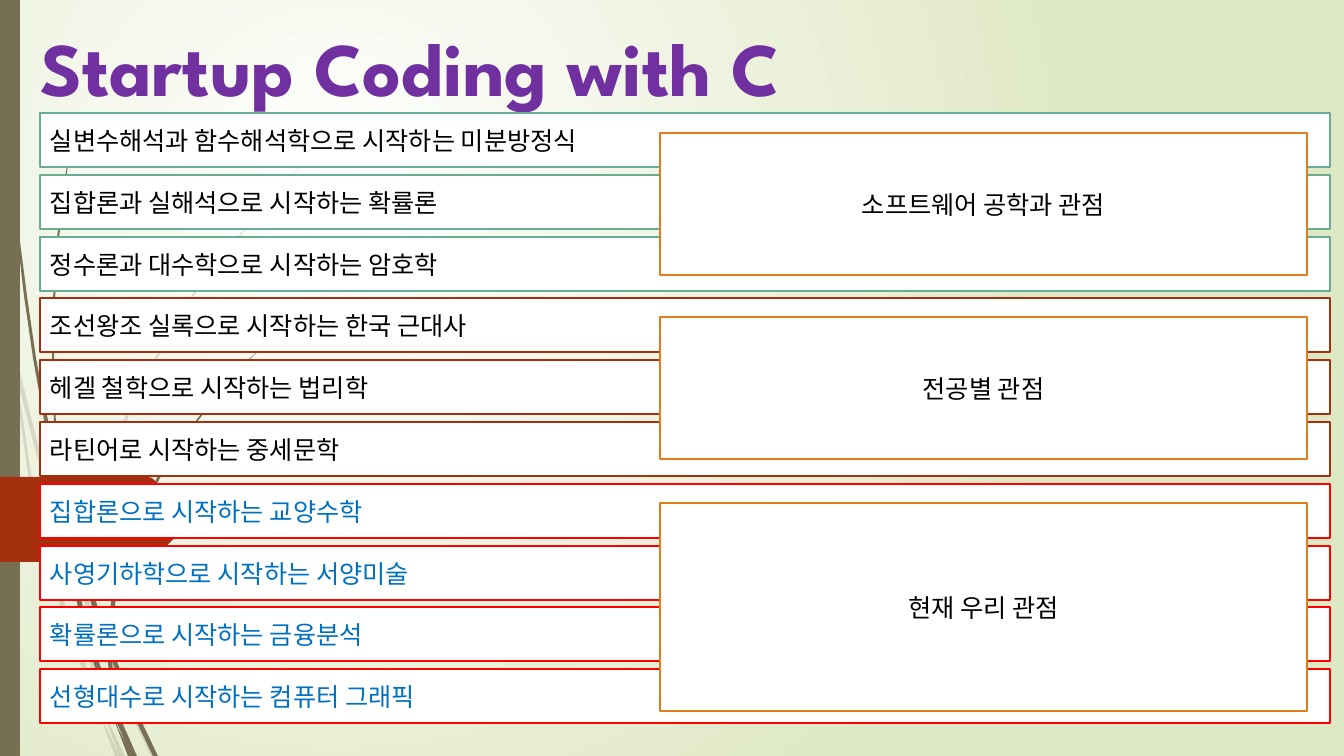
from lxml import etree
from pptx import Presentation
from pptx.dml.color import RGBColor
from pptx.enum.shapes import MSO_SHAPE
from pptx.enum.text import MSO_ANCHOR, PP_ALIGN
from pptx.oxml.ns import qn
from pptx.util import Pt

PX = 914400 / 100.8
RECT = MSO_SHAPE.RECTANGLE
MIDDLE, BOTTOM = MSO_ANCHOR.MIDDLE, MSO_ANCHOR.BOTTOM
LEFT, CENTER = PP_ALIGN.LEFT, PP_ALIGN.CENTER
SPARTAN, NOTO = "League Spartan", "Noto Sans CJK KR"
BROWN, RUST = "766F54", "A53010"

FAINT_WISPS = [
    [(0, 284), (9, 325), (11, 353), (17, 379), (31, 473), (48, 550), (71, 624),
     (94, 688), (102, 720), (120, 756), (115, 756), (102, 720), (93, 699),
     (66, 626), (44, 551), (28, 474), (11, 353), (0, 301)],
    [(14, 348), (36, 437), (62, 524), (85, 591), (85, 604), (58, 526),
     (36, 453), (17, 379)],
    [(85, 591), (93, 612), (128, 698), (156, 756), (151, 756), (124, 700),
     (89, 615), (85, 604)],
    [(106, 717), (125, 756), (120, 756)],
    [(85, 604), (89, 615), (92, 651), (104, 712), (120, 756), (97, 698),
     (94, 688), (88, 651)],
    [(314, 154), (292, 176), (270, 200), (231, 247), (193, 297), (161, 352),
     (132, 407), (111, 466), (95, 526), (89, 589), (89, 601), (86, 589),
     (92, 526), (108, 465), (129, 405), (159, 351), (191, 296), (230, 246),
     (270, 199), (291, 176)],
]
DARK_WISPS = [
    [(3, 0), (4, 0), (5, 48), (8, 110), (12, 172), (19, 234), (27, 296),
     (36, 358), (55, 457), (57, 485), (44, 420), (33, 358), (24, 296),
     (17, 235), (11, 173), (7, 111), (4, 48)],
    [(60, 476), (75, 536), (94, 595), (107, 636), (107, 650), (89, 597),
     (65, 509)],
    [(111, 646), (114, 654), (137, 712), (158, 756), (153, 756), (133, 714),
     (112, 661)],
    [(57, 481), (65, 509), (73, 560), (84, 612), (99, 662), (111, 697),
     (118, 728), (132, 756), (128, 756), (112, 714), (94, 664), (79, 613),
     (69, 561)],
    [(71, 142), (64, 195), (58, 247), (55, 300), (54, 352), (55, 405),
     (58, 457), (65, 509), (57, 481), (55, 453), (52, 352), (53, 300),
     (56, 247), (62, 195)],
    [(262, 347), (247, 362), (233, 377), (207, 409), (181, 443), (159, 480),
     (140, 517), (126, 556), (116, 597), (112, 638), (111, 646), (107, 636),
     (112, 595), (123, 555), (138, 515), (157, 478), (179, 442), (206, 408),
     (233, 376), (247, 361)],
    [(107, 650), (112, 661), (115, 692), (122, 722), (137, 756), (131, 756),
     (117, 723), (111, 697)],
]
TAB = [(0, 477), (148, 477), (152, 478), (192, 517), (192, 521), (152, 560),
       (148, 562), (0, 562)]

# line colour, text colour, Latin font, topics
TOPIC_GROUPS = [
    ("6AAC91", "000000", SPARTAN, [
        "실변수해석과 함수해석학으로 시작하는 미분방정식",
        "집합론과 실해석으로 시작하는 확률론",
        "정수론과 대수학으로 시작하는 암호학"]),
    (RUST, "000000", SPARTAN, [
        "조선왕조 실록으로 시작하는 한국 근대사",
        "헤겔 철학으로 시작하는 법리학",
        "라틴어로 시작하는 중세문학"]),
    ("FF0000", "0070C0", NOTO, [
        "집합론으로 시작하는 교양수학",
        "사영기하학으로 시작하는 서양미술",
        "확률론으로 시작하는 금융분석",
        "선형대수로 시작하는 컴퓨터 그래픽"]),
]
# top, height, text
VIEWPOINTS = [
    (133, 142, "소프트웨어 공학과 관점"),
    (317, 142, "전공별 관점"),
    (503, 208, "현재 우리 관점"),
]


def px(n):
    return round(n * PX)


def rgb(color):
    return RGBColor.from_string(color)


def fill_shape(sp, color):
    sp.shadow.inherit = False
    sp.fill.solid()
    sp.fill.fore_color.rgb = rgb(color)


def write(tf, text, size, font, color, align=LEFT, bold=False):
    p = tf.paragraphs[0]
    p.alignment = align
    r = p.add_run()
    r.text = text
    formats = {"size": Pt(size), "name": font, "bold": bold}
    for name, value in formats.items():
        setattr(r.font, name, value)
    r.font.color.rgb = rgb(color)
    etree.SubElement(r._r.get_or_add_rPr(), qn("a:ea"), typeface=NOTO)


def add_outline(s, points, color, alpha=None):
    """Draw a filled closed polygon; alpha is opacity in percent."""
    corners = [(px(x), px(y)) for x, y in points]
    builder = s.shapes.build_freeform(*corners[0])
    builder.add_line_segments(corners[1:], close=True)
    sp = builder.convert_to_shape()
    fill_shape(sp, color)
    sp.line.fill.background()
    if alpha is not None:
        clr = sp._element.spPr.find(qn("a:solidFill"))[0]
        etree.SubElement(clr, qn("a:alpha"), val=str(alpha * 1000))


def add_box(s, x, y, w, h, line, text, font, color, align=LEFT):
    sp = s.shapes.add_shape(RECT, px(x), px(y), px(w), px(h))
    fill_shape(sp, "FFFFFF")
    sp.line.color.rgb = rgb(line)
    sp.line.width = Pt(1.25)
    tf = sp.text_frame
    tf.word_wrap = True
    tf.vertical_anchor = MIDDLE
    write(tf, text, 18, font, color, align)


def set_background(s):
    fill = s.background.fill
    fill.gradient()
    for stop, position, color in zip(fill.gradient_stops, (0, 1),
                                     ("FFFFFF", "DFE8C4")):
        stop.position = position
        stop.color.rgb = rgb(color)
    grad = s.element.find(".//" + qn("a:gradFill"))
    grad.remove(grad.find(qn("a:lin")))
    path = etree.SubElement(grad, qn("a:path"), path="circle")
    etree.SubElement(path, qn("a:fillToRect"), l="50000", t="50000",
                     r="100000", b="100000")


def add_decor(s):
    for points in FAINT_WISPS:
        add_outline(s, points, BROWN, 20)
    for points in DARK_WISPS:
        add_outline(s, points, BROWN)
    bar = s.shapes.add_shape(RECT, 0, 0, px(20), px(756))
    fill_shape(bar, BROWN)
    bar.line.fill.background()
    add_outline(s, TAB, RUST)


def set_title(s, text):
    title = s.shapes.title
    places = {"left": 30, "top": 0, "width": 1314, "height": 151}
    for name, value in places.items():
        setattr(title, name, px(value))
    tf = title.text_frame
    tf.word_wrap = True
    tf.vertical_anchor = BOTTOM
    tf.margin_bottom = px(39)
    write(tf, text, 54, SPARTAN, "7030A0", bold=True)
    s.shapes._spTree.append(title._element)  # in front of the decoration


def main():
    prs = Presentation()
    prs.slide_width, prs.slide_height = px(1344), px(756)
    s = prs.slides.add_slide(prs.slide_layouts[5])
    set_background(s)
    add_decor(s)
    set_title(s, "Startup Coding with C")
    rows = [(line, topic, font, color)
            for line, color, font, topics in TOPIC_GROUPS for topic in topics]
    for i, row in enumerate(rows):
        add_box(s, 40, 113 + round(61.8 * i), 1290, 54, *row)
    for top, height, text in VIEWPOINTS:
        add_box(s, 660, top, 647, height, "DE7E18", text, SPARTAN, "000000",
                CENTER)
    prs.save("out.pptx")


if __name__ == "__main__":
    main()
